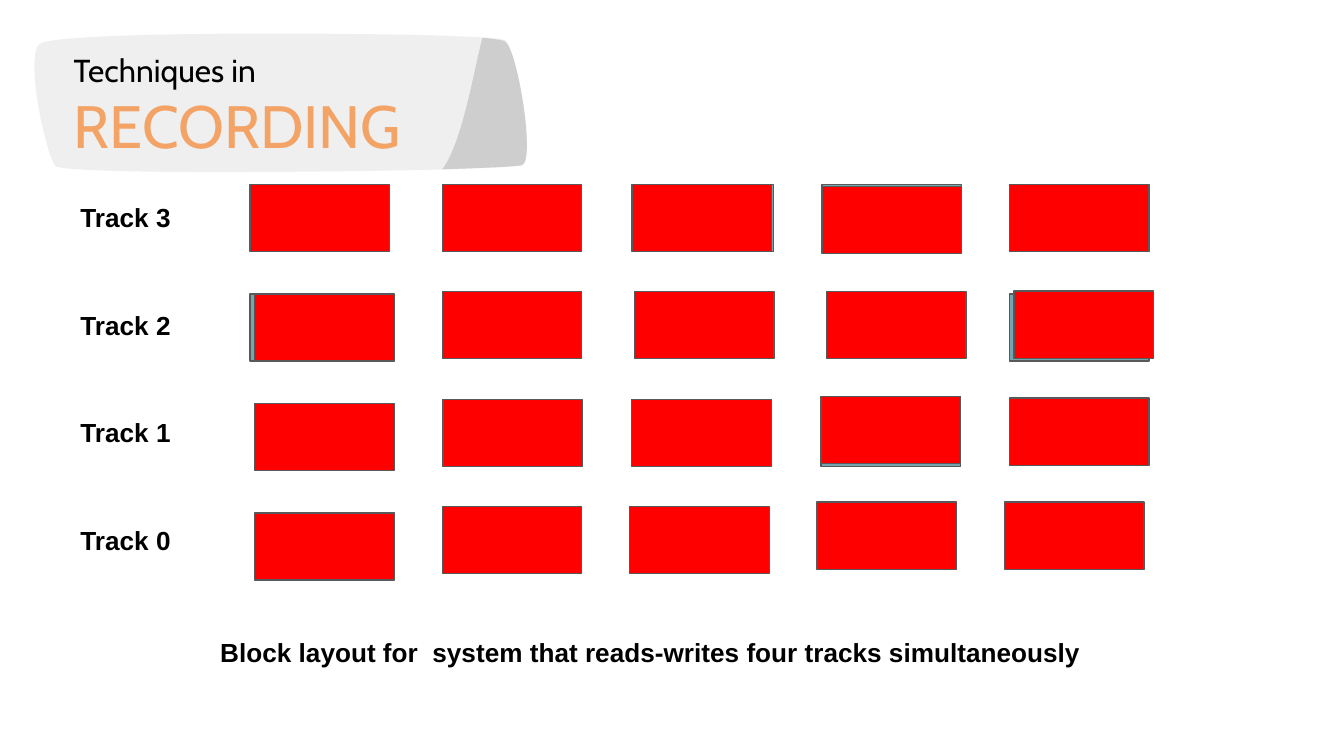
from dataclasses import dataclass

from lxml.etree import SubElement
from pptx import Presentation
from pptx.dml.color import RGBColor
from pptx.enum.shapes import MSO_SHAPE
from pptx.enum.text import MSO_ANCHOR, MSO_AUTO_SIZE
from pptx.oxml.ns import qn
from pptx.util import Pt


@dataclass(frozen=True)
class Theme:
    panel: RGBColor = RGBColor(0xEF, 0xEF, 0xEF)
    panel_edge: RGBColor = RGBColor(0xCE, 0xCE, 0xCE)
    ink: RGBColor = RGBColor(0, 0, 0)
    accent: RGBColor = RGBColor(0xF2, 0xA3, 0x65)
    block: RGBColor = RGBColor(0xFF, 0, 0)
    under_block: RGBColor = RGBColor(0x76, 0xA5, 0xAF)
    outline: RGBColor = RGBColor(0x59, 0x59, 0x59)
    title_font: str = "Cabin"
    body_font: str = "Arial"
    kicker_size: int = 17
    title_size: int = 32
    body_size: int = 14


theme = Theme()
UNITS_PER_POINT = 100
BLOCK_WIDTH, BLOCK_HEIGHT = 74.8, 36
ROW_TOP, ROW_PITCH = 100.8, 57.6

prs = Presentation()
prs.slide_width, prs.slide_height = Pt(720), Pt(405)
slide = prs.slides.add_slide(prs.slide_layouts[6])
shapes = slide.shapes


def add_curved_outline(parent, points, color):
    """Fill a closed outline: a start point, then two controls and an end per curve."""
    scaled = [(x * UNITS_PER_POINT, y * UNITS_PER_POINT) for x, y in points]
    builder = parent.build_freeform(*scaled[0], scale=Pt(1) / UNITS_PER_POINT)
    builder.add_line_segments(scaled[1:], close=True)
    outline = builder.convert_to_shape()
    contour = next(outline.element.iter(qn("a:path")))
    segments = contour.findall(qn("a:lnTo"))
    closing = contour.find(qn("a:close"))
    contour.remove(closing)
    for start in range(0, len(segments), 3):
        curve = SubElement(contour, qn("a:cubicBezTo"))
        for segment in segments[start:start + 3]:
            curve.append(segment[0])
            contour.remove(segment)
    contour.append(closing)
    outline.shadow.inherit = False
    outline.fill.solid()
    outline.fill.fore_color.rgb = color
    outline.line.fill.background()


def add_text(parent, left, top, width, height, lines, font, bold=False):
    """Add a text box; each line is (text, size, color)."""
    box = parent.add_textbox(Pt(left), Pt(top), Pt(width), Pt(height))
    frame = box.text_frame
    frame.word_wrap = True
    frame.margin_left = frame.margin_right = Pt(7.2)
    frame.margin_top = frame.margin_bottom = Pt(7.2)
    frame.text = "\n".join(text for text, _, _ in lines)
    for paragraph, (_, size, color) in zip(frame.paragraphs, lines):
        run_font = paragraph.runs[0].font
        run_font.name, run_font.size, run_font.bold = font, Pt(size), bold
        run_font.color.rgb = color
    return frame


# Title panel
header = shapes.add_group_shape().shapes
add_curved_outline(header, [
    (146.9, 18),
    (86.4, 18), (25.2, 19.4), (20.9, 23.8),
    (13, 32.4), (25.9, 87.8), (30.2, 89.3),
    (36.7, 91.4), (73.4, 92.2), (115.9, 92.2),
    (184.3, 92.2), (270, 90.7), (279.4, 88.6),
    (287.3, 87.1), (277.2, 26.6), (270.7, 21.6),
    (267.1, 19.4), (207.4, 18), (146.9, 18),
], theme.panel)
add_curved_outline(header, [
    (258.5, 20.2),
    (254.2, 36), (247.7, 77), (236.9, 90.7),
    (258.5, 90), (275, 89.3), (279.4, 88.6),
    (287.3, 87.1), (277.2, 26.6), (270.7, 22.3),
    (270, 21.6), (265.7, 20.9), (258.5, 20.2),
], theme.panel_edge)
title = add_text(header, 32.4, 28.4, 222.5, 56.2, [
    ("Techniques in", theme.kicker_size, theme.ink),
    ("RECORDING", theme.title_size, theme.accent),
], theme.title_font)
title.vertical_anchor = MSO_ANCHOR.MIDDLE

# Labels: one row per track, then the caption
labels = [
    (36, ROW_TOP + row * ROW_PITCH, 74.9, f"Track {3 - row}") for row in range(4)
]
labels.append((110.9, 333.7, 502.6,
               "Block layout for  system that reads-writes four tracks simultaneously"))
for left, top, width, text in labels:
    label = add_text(shapes, left, top, width, 31.7,
                     [(text, theme.body_size, theme.ink)], theme.body_font, True)
    label.auto_size = MSO_AUTO_SIZE.SHAPE_TO_FIT_TEXT

# Blocks: hand-placed corners, the lower layer peeping out behind the red one
under_blocks = [
    (440.3, 98.9), (339.6, 98.9),
    (134, 157.5), (540.7, 157.5),
    (236.9, 214), (439.9, 214),
]
track_blocks = [
    (134, 98.9), (236.9, 98.9), (338.5, 98.9), (440.3, 99.9), (540.7, 98.9),
    (136.4, 157.5), (236.9, 156.2), (339.8, 156.2), (442.8, 156.2), (543.3, 156),
    (136.4, 216.2), (237.3, 214), (338.4, 214), (439.9, 212.4), (540.7, 213.3),
    (136.4, 274.8), (236.9, 271.4), (337.3, 271.4), (437.6, 269), (538.1, 269),
]
for corners, color in ((under_blocks, theme.under_block), (track_blocks, theme.block)):
    for left, top in corners:
        block = shapes.add_shape(MSO_SHAPE.RECTANGLE, Pt(left), Pt(top),
                                 Pt(BLOCK_WIDTH), Pt(BLOCK_HEIGHT))
        block.shadow.inherit = False
        block.fill.solid()
        block.fill.fore_color.rgb = color
        block.line.color.rgb = theme.outline
        block.line.width = Pt(0.75)

prs.save("out.pptx")
